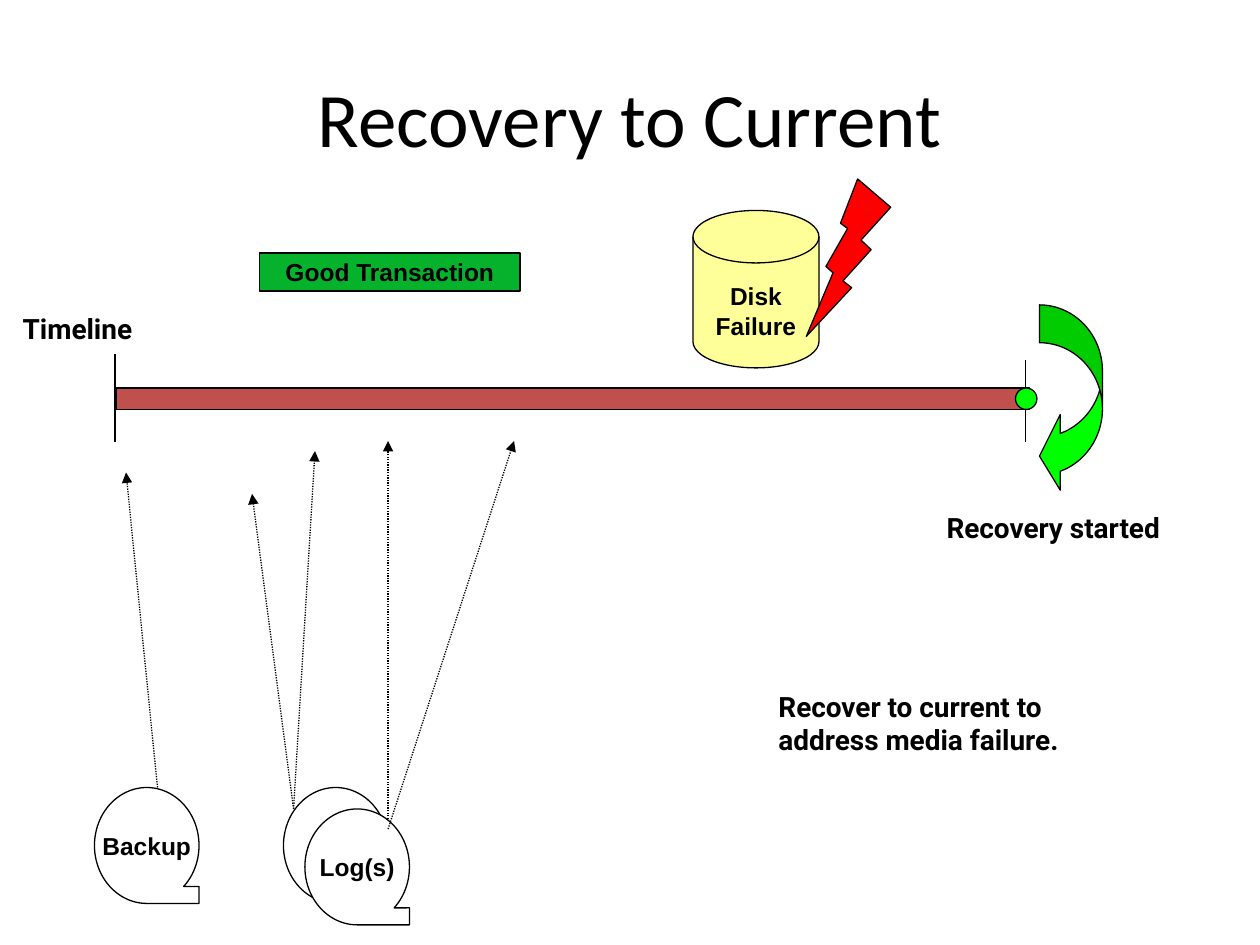
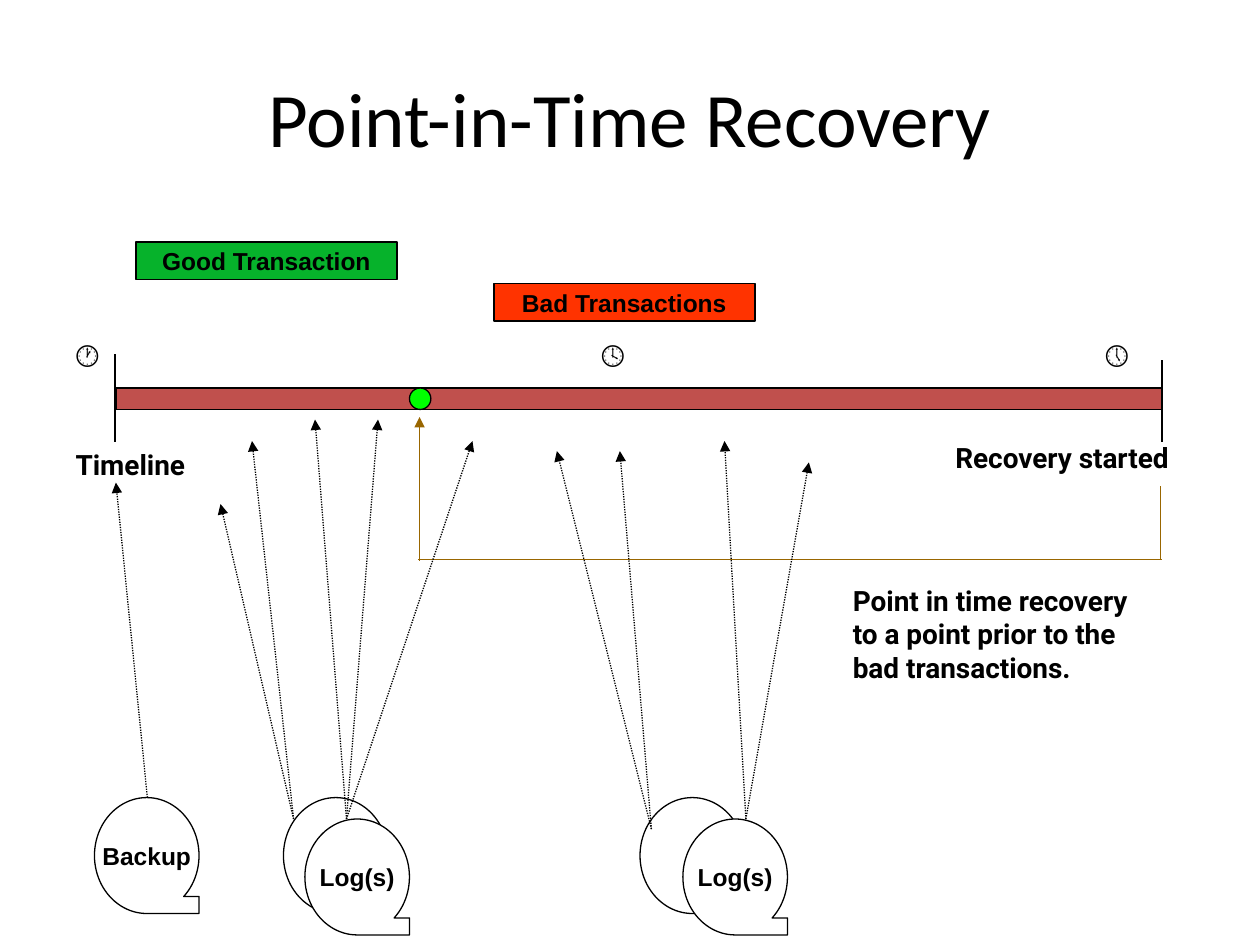
from pptx import Presentation
from pptx.dml.color import RGBColor
from pptx.enum.dml import MSO_LINE as Dash
from pptx.enum.shapes import MSO_CONNECTOR as Link, MSO_SHAPE as Kind
from pptx.enum.text import MSO_ANCHOR as Anchor, PP_ALIGN as Align
from pptx.oxml.ns import qn
from pptx.util import Inches, Pt
from lxml.etree import SubElement

BLACK, WHITE, BAR = "000000", "FFFFFF", "C0504D"
GREEN, RED, LIME = "06B22B", "FF3300", "00FF00"
BROWN, CREAM, BOLT = "996600", "FFFF99", "FF0000"


def color(code):
    return RGBColor.from_string(code)


class Deck:
    def __init__(self):
        self.show = Presentation()
        self.show.slide_width = Inches(10)
        self.show.slide_height = Inches(7.5)

    def page(self, title):
        blank = self.show.slide_layouts[6]
        self.items = self.show.slides.add_slide(blank).shapes
        box = self.text([title], 0.5, 0.3, 9, 1.25, "Calibri", 44, False, Align.CENTER)
        box.text_frame.vertical_anchor = Anchor.MIDDLE

    def label(self, para, words, font, size, bold, align):
        para.alignment = align
        run = para.add_run()
        run.text = words
        run.font.name, run.font.size, run.font.bold = font, Pt(size), bold
        run.font.color.rgb = color(BLACK)

    def text(self, lines, left, top, width, height, font="Roboto", size=16,
             bold=True, align=Align.LEFT, wrap=True):
        box = self.items.add_textbox(*map(Inches, (left, top, width, height)))
        box.text_frame.word_wrap = wrap
        para = box.text_frame.paragraphs[0]
        for i, words in enumerate(lines):
            if i:
                para.add_line_break()
            self.label(para, words, font, size, bold, align)
        return box

    def shape(self, kind, left, top, width, height, fill, lines=(), edge=0.75):
        shape = self.items.add_shape(kind, *map(Inches, (left, top, width, height)))
        shape.shadow.inherit = False
        shape.fill.solid()
        shape.fill.fore_color.rgb = color(fill)
        shape.line.color.rgb = color(BLACK)
        shape.line.width = Pt(edge)
        frame = shape.text_frame
        frame.word_wrap = False
        frame.vertical_anchor = Anchor.MIDDLE
        for i, words in enumerate(lines):
            para = frame.add_paragraph() if i else frame.paragraphs[0]
            self.label(para, words, "Arial", 14, True, Align.CENTER)
        return shape

    def line(self, start, end, hue=BLACK, width=1, dash=None, head=False):
        line = self.items.add_connector(Link.STRAIGHT, *map(Inches, (*start, *end)))
        line.line.color.rgb = color(hue)
        line.line.width = Pt(width)
        if dash:
            line.line.dash_style = dash
        props = line._element.spPr
        if head:
            SubElement(props.find(qn("a:ln")), qn("a:tailEnd"), type="triangle")
        SubElement(props, qn("a:effectLst"))

    def trace(self, start, *ends):
        for end in ends:
            self.line(start, end, width=0.75, dash=Dash.ROUND_DOT, head=True)

    def tape(self, left, top, *lines):
        self.shape(Kind.FLOWCHART_SEQUENTIAL_ACCESS_STORAGE, left, top, 0.83, 0.92, WHITE, lines)

    def logs(self, left, top, shift):
        self.tape(left, top)
        self.tape(left + shift, top + 0.17, "Log(s)")

    def banner(self, words, left, top, fill):
        self.shape(Kind.RECTANGLE, left, top, 2.07, 0.3, fill, [words], 1)

    def dot(self, left):
        self.shape(Kind.OVAL, left, 3.08, 0.17, 0.17, LIME)

    def time(self, width, end, label, start):
        self.shape(Kind.RECTANGLE, 0.92, 3.08, width, 0.17, BAR, edge=1)
        self.line((0.91, 2.81), (0.91, 3.51))
        self.line((end, 2.86), (end, 3.51))
        self.text(["Timeline"], *label, 1.23, 0.37, align=Align.CENTER)
        self.text(["Recovery started"], *start, 2.06, 0.37, align=Align.CENTER)


def current(deck):
    deck.page("Recovery to Current")
    deck.time(7.25, 8.14, (0, 2.42), (7.33, 4))
    deck.banner("Good Transaction", 2.06, 2.01, GREEN)
    deck.text(["Recover to current to ", "address media failure."], 6.08, 5.42, 3.58, 0.64)
    disk = deck.shape(Kind.FLOWCHART_MAGNETIC_DISK, 5.5, 1.67, 1, 1.25, CREAM, ["Disk", "Failure"])
    disk.text_frame.margin_top = Inches(0.18)
    bolt = deck.shape(Kind.LIGHTNING_BOLT, 6.4, 1.42, 0.67, 1.25, BOLT)
    bolt._element.spPr.find(qn("a:xfrm")).set("flipH", "1")
    turn = deck.shape(Kind.CURVED_LEFT_ARROW, 8.25, 2.42, 0.5, 1.5, LIME)
    for i, value in enumerate((0.6, 1.2, 0.33)):
        turn.adjustments[i] = value
    deck.dot(8.06)
    deck.tape(0.75, 6.25, "Backup")
    deck.logs(2.25, 6.25, 0.17)
    deck.trace((1.25, 6.25), (1, 3.75))
    deck.trace((2.33, 6.42), (2, 3.92), (2.5, 3.58))
    deck.trace((3.08, 6.5), (3.08, 3.5))
    deck.trace((3.08, 6.58), (4.08, 3.5))


def point(deck):
    deck.page("Point-in-Time Recovery")
    deck.time(8.3, 9.22, (0.42, 3.5), (7.4, 3.45))
    deck.banner("Bad Transactions", 3.92, 2.25, RED)
    deck.banner("Good Transaction", 1.08, 1.92, GREEN)
    deck.line((9.21, 3.86), (9.21, 4.44), BROWN)
    deck.line((9.22, 4.44), (3.32, 4.44), BROWN)
    deck.line((3.33, 4.45), (3.33, 3.31), BROWN, head=True)
    deck.text(["Point in time recovery ", "to a point prior to the ", "bad transactions."],
              6.67, 4.58, 2.75, 0.9)
    deck.tape(0.75, 6.33, "Backup")
    deck.logs(2.25, 6.33, 0.17)
    deck.trace((1.17, 6.33), (0.92, 3.83))
    deck.trace((2.33, 6.5), (1.75, 4), (2, 3.5))
    deck.trace((2.75, 6.5), (2.5, 3.33), (3, 3.33), (3.75, 3.5))
    deck.dot(3.25)
    for clock, left in (("🕐", 0.5), ("🕓", 4.67), ("🕔", 8.67)):
        deck.text([clock], left, 2.62, 0.4, 0.37, wrap=False)
    deck.logs(5.08, 6.33, 0.34)
    deck.trace((5.17, 6.58), (4.42, 3.58), (4.92, 3.58))
    deck.trace((5.92, 6.5), (6.42, 3.67), (5.75, 3.5))


def main():
    deck = Deck()
    current(deck)
    point(deck)
    deck.show.save("out.pptx")


if __name__ == "__main__":
    main()
